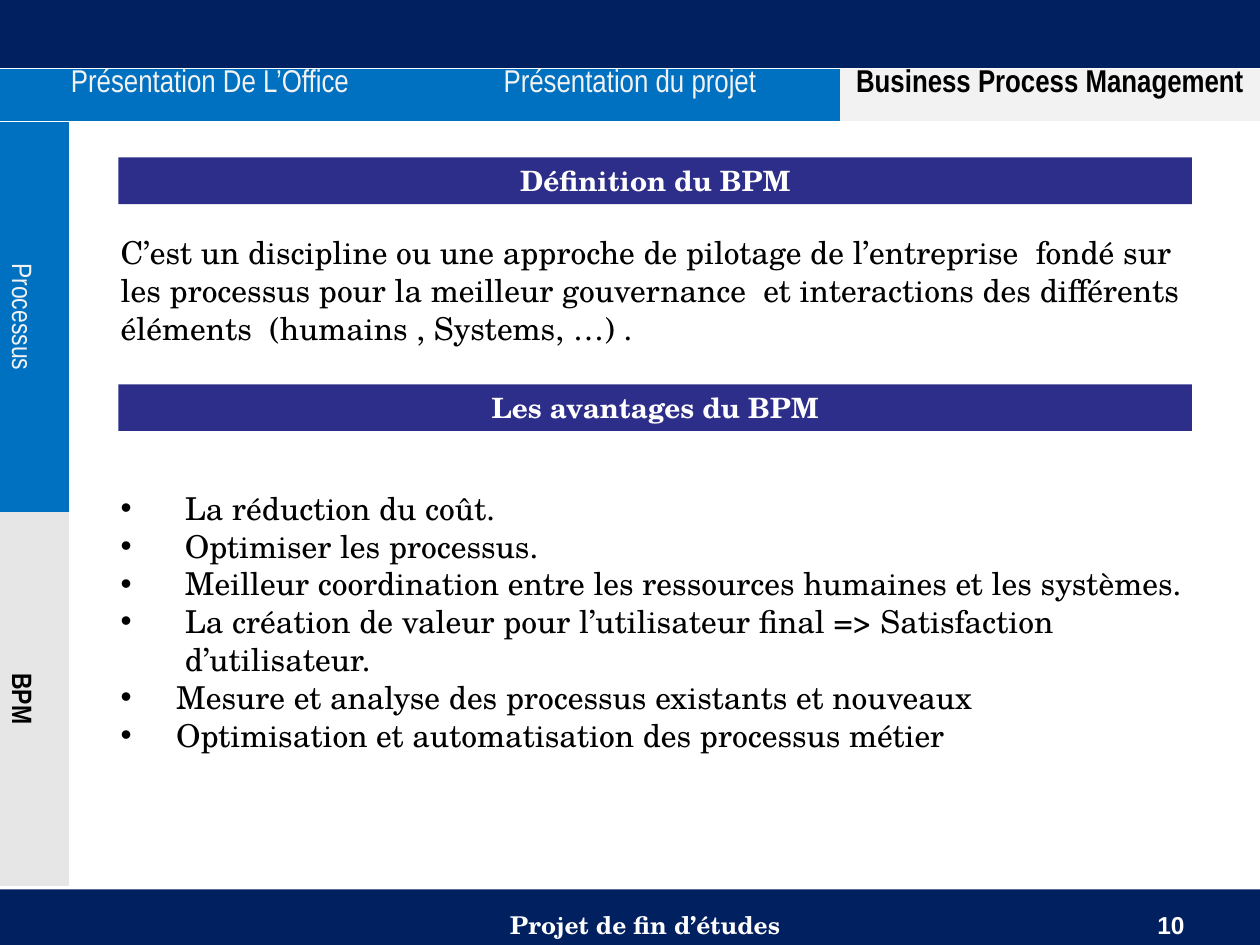
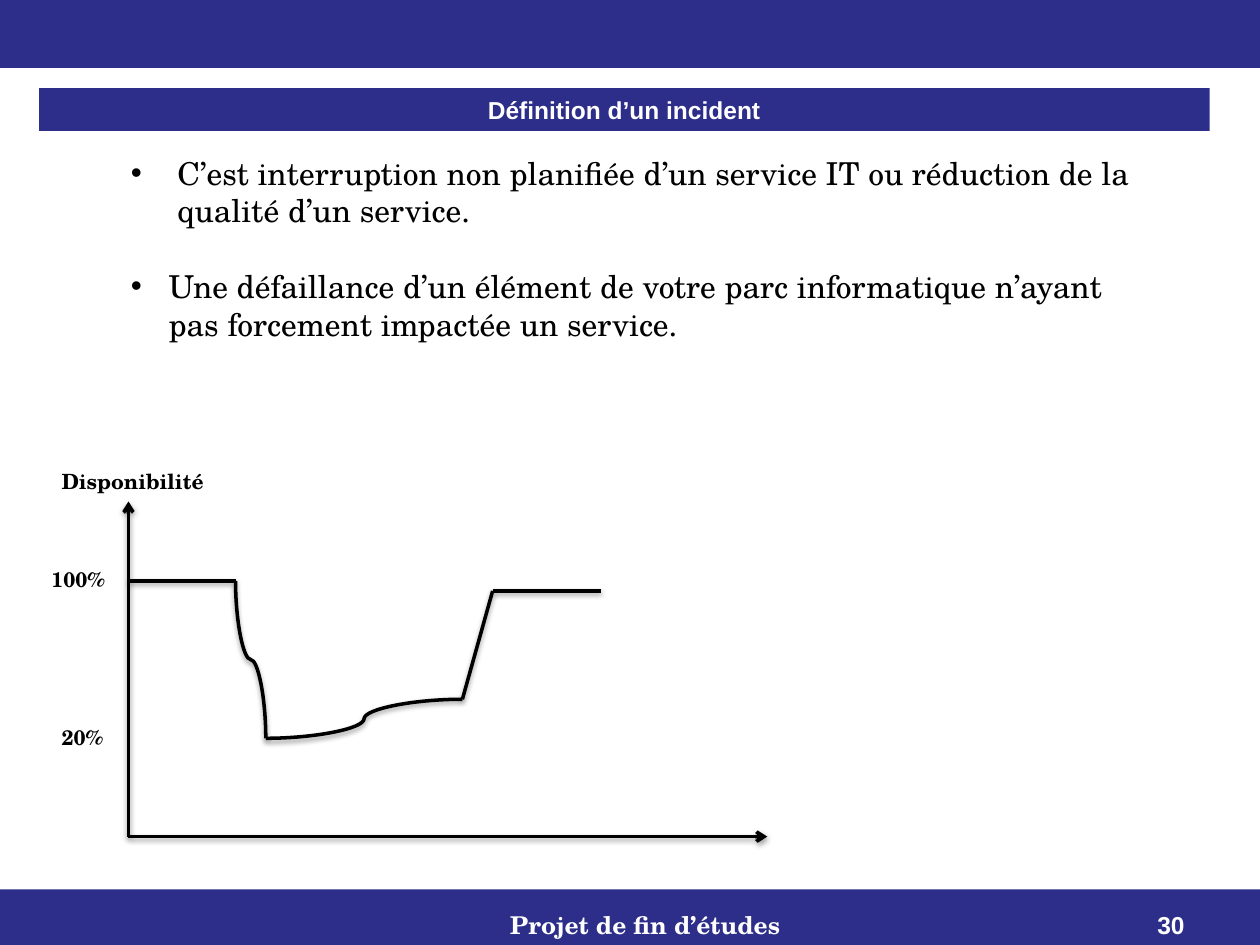
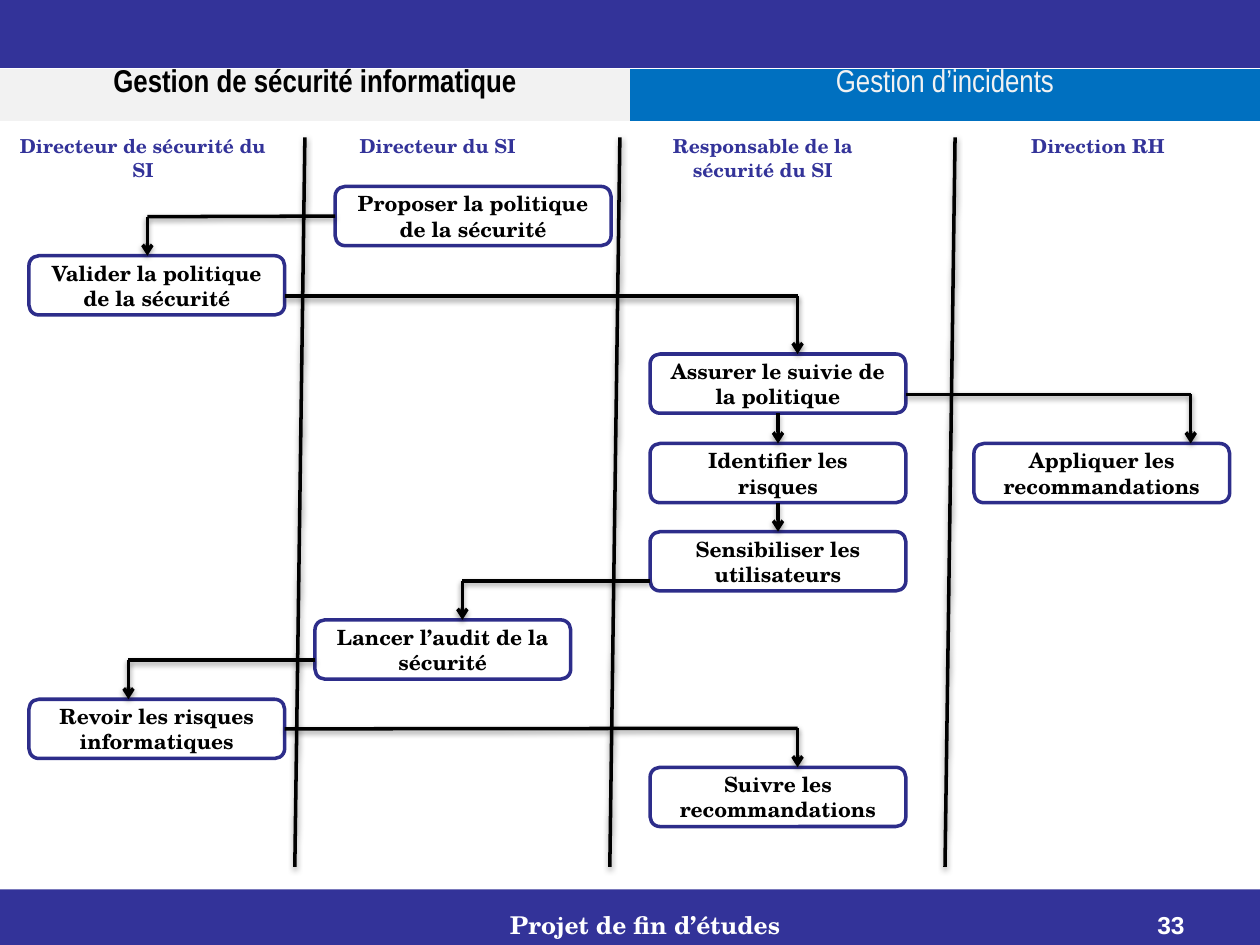
from lxml import etree
from pptx import Presentation
from pptx.dml.color import RGBColor
from pptx.enum.shapes import MSO_CONNECTOR, MSO_SHAPE
from pptx.enum.text import MSO_ANCHOR, PP_ALIGN
from pptx.oxml import parse_xml
from pptx.oxml.ns import nsdecls, qn
from pptx.util import Inches, Pt

NAVY, INDIGO, VIOLET, BLUE = "002060", "2D2D8A", "333399", "0070C0"
BLACK, WHITE, PALE, GREY = "000000", "FFFFFF", "F2F2F2", "E6E6E6"
SERIF, SANS, NARROW = "TeX Gyre Schola", "Arial", "Arial Narrow"
LEFT, CENTER, RIGHT = PP_ALIGN.LEFT, PP_ALIGN.CENTER, PP_ALIGN.RIGHT
NO_STYLE = "{2D5ABB26-0587-4C30-8999-92F81FD0307C}"
FOOTER = "Projet de fin d’études"

BPM_TABS = ["Présentation De L’Office", "Présentation du projet", "Business Process Management"]
BPM_SECTIONS = [("Processus", 3.09), ("BPM", 2.97)]
BPM_BANDS = [("Définition du BPM", 1.25), ("Les avantages du BPM", 3.05)]
BPM_DEFINITION = (
    "C’est un discipline ou une approche de pilotage de l’entreprise  fondé sur "
    "les processus pour la meilleur gouvernance  et interactions des différents "
    "éléments  (humains , Systems, …) ."
)
# text, hanging indent
BPM_BENEFITS = [
    ("La réduction du coût.", 0.51),
    ("Optimiser les processus.", 0.51),
    ("Meilleur coordination entre les ressources humaines et les systèmes.", 0.51),
    ("La création de valeur pour l’utilisateur final => Satisfaction d’utilisateur.", 0.51),
    ("Mesure et analyse des processus existants et nouveaux", 0.44),
    ("Optimisation et automatisation des processus métier", 0.44),
]

INCIDENT_TITLE = "Définition d’un incident"
INCIDENT_POINTS = [
    ("C’est interruption non planifiée d’un service IT ou réduction de la "
     "qualité d’un service.", 0.37),
    ("Une défaillance d’un élément de votre parc informatique n’ayant "
     "pas forcement impactée un service.", 0.3),
]
AXIS_ORIGIN, AXIS_TOP, AXIS_RIGHT = (1.02, 6.64), (1.02, 3.98), (6.09, 6.64)
AXIS_LABELS = [
    ("Disponibilité", (0.39, 3.67, 1.64, 0.3)),
    ("100%", (0.31, 4.45, 0.7, 0.31)),
    ("20%", (0.39, 5.7, 0.7, 0.31)),
]
AVAILABILITY = [(1.02, 4.61), (1.87, 4.61), (2.11, 5.86), (3.67, 5.55), (3.91, 4.69), (4.77, 4.69)]

SECURITY_TABS = ["Gestion de sécurité informatique", "Gestion d’incidents"]
LANES = [
    ("Directeur de sécurité du SI", 0),
    ("Directeur du SI", 2.34),
    ("Responsable de la sécurité du SI", 4.92),
    ("Direction RH", 7.58),
]
DIVIDERS = [2.42, 4.92, 7.58]
STEP_W, STEP_H = 2.03, 0.47
# name: text, left, top, width
STEPS = {
    "proposer": ("Proposer la politique de la sécurité", 2.66, 1.48, 2.19),
    "valider": ("Valider la politique de la sécurité", 0.23, 2.03, STEP_W),
    "assurer": ("Assurer le suivie de la politique", 5.16, 2.81, STEP_W),
    "identifier": ("Identifier les risques", 5.16, 3.52, STEP_W),
    "sensibiliser": ("Sensibiliser les utilisateurs", 5.16, 4.22, STEP_W),
    "lancer": ("Lancer l’audit de la sécurité", 2.5, 4.92, STEP_W),
    "revoir": ("Revoir les risques informatiques", 0.23, 5.55, STEP_W),
    "appliquer": ("Appliquer les recommandations", 7.73, 3.52, STEP_W),
    "suivre": ("Suivre les recommandations", 5.16, 6.09, STEP_W),
}
# source, target, x of the drop, y of the exit
ROUTES = [
    ("proposer", "valider", 1.17, 1.72),
    ("valider", "assurer", 6.33, 2.35),
    ("assurer", "appliquer", 9.45, 3.13),
    ("sensibiliser", "lancer", 3.67, 4.61),
    ("lancer", "revoir", 1.02, 5.24),
    ("revoir", "suivre", 6.33, 5.78),
]
STRAIGHT_DOWN = [("assurer", "identifier"), ("identifier", "sensibiliser")]


def rgb(color):
    return RGBColor.from_string(color)


def inches(values):
    return [Inches(v) for v in values]


def write(p, text, size, color=BLACK, font=SERIF, bold=False, align=LEFT):
    p.text = text
    p.alignment = align
    for r in p.runs:
        r.font.size, r.font.name, r.font.bold = Pt(size), font, bold
        r.font.color.rgb = rgb(color)


def add_box(s, at, fill, line=None, kind=MSO_SHAPE.RECTANGLE):
    sp = s.shapes.add_shape(kind, *inches(at))
    sp.shadow.inherit = False
    sp.fill.solid()
    sp.fill.fore_color.rgb = rgb(fill)
    if line:
        sp.line.color.rgb = rgb(line)
        sp.line.width = Pt(2)
    else:
        sp.line.fill.background()
    return sp


def add_text(s, at, text, size, **style):
    tf = s.shapes.add_textbox(*inches(at)).text_frame
    tf.word_wrap = True
    write(tf.paragraphs[0], text, size, **style)


def add_band(s, at, text, size, font):
    sp = add_box(s, at, INDIGO)
    write(sp.text_frame.paragraphs[0], text, size, WHITE, font, True, CENTER)


def add_bullets(s, at, items, gap=0):
    tf = s.shapes.add_textbox(*inches(at)).text_frame
    tf.word_wrap = True
    for i, (text, hang) in enumerate(items):
        p = tf.add_paragraph() if i else tf.paragraphs[0]
        write(p, text, 18)
        if i:
            p.space_before = Pt(gap)
        pPr = p._p.get_or_add_pPr()
        pPr.set("marL", str(Inches(hang)))
        pPr.set("indent", str(-Inches(hang)))
        etree.SubElement(pPr, qn("a:buFont"), typeface=SANS)
        etree.SubElement(pPr, qn("a:buChar"), char="•")


def add_line(s, start, end, arrow=False, kind=MSO_CONNECTOR.STRAIGHT):
    c = s.shapes.add_connector(kind, *inches(start + end))
    c.line.color.rgb = rgb(BLACK)
    c.line.width = Pt(2)
    if arrow:
        etree.SubElement(c.line._get_or_add_ln(), qn("a:tailEnd"), type="arrow")
    c._element.spPr.append(parse_xml(
        f'<a:effectLst {nsdecls("a")}><a:outerShdw blurRad="{Pt(3.1)}" dist="{Pt(1.6)}" '
        'dir="5400000" rotWithShape="0"><a:srgbClr val="000000"><a:alpha val="38000"/>'
        '</a:srgbClr></a:outerShdw></a:effectLst>'))
    return c


def add_upright_curve(s, start, end):
    """Curve that leaves and arrives vertically: a level curve turned by 270 degrees."""
    (x1, y1), (x2, y2) = start, end
    cx, cy = (x1 + x2) / 2, (y1 + y2) / 2
    half_w, half_h = (y2 - y1) / 2, (x2 - x1) / 2
    c = add_line(s, (cx + half_w, cy - half_h), (cx - half_w, cy + half_h),
                 kind=MSO_CONNECTOR.CURVE)
    c._element.spPr.find(qn("a:xfrm")).set("rot", str(270 * 60000))


def add_table(s, at, rows, cols):
    frame = s.shapes.add_table(rows, cols, *inches(at))
    table = frame.table
    table._tbl.tblPr.find(qn("a:tableStyleId")).text = NO_STYLE
    table.first_row = table.horz_banding = False
    return table


def fill_cell(cell, text, size, active, active_fill):
    cell.fill.solid()
    cell.fill.fore_color.rgb = rgb(active_fill if active else BLUE)
    write(cell.text_frame.paragraphs[0], text, size, BLACK if active else PALE,
          NARROW, active, CENTER)


def add_tabs(s, names, active):
    table = add_table(s, (0, 0.55, 10, 0.41), 1, len(names))
    for i, name in enumerate(names):
        cell = table.cell(0, i)
        cell.margin_top = 0
        fill_cell(cell, name, 18, i == active, PALE)


def add_side_tabs(s, sections, active):
    total = sum(height for _, height in sections)
    table = add_table(s, (0, 0.97, 0.55, total), len(sections), 1)
    for i, (name, height) in enumerate(sections):
        table.rows[i].height = Inches(height)
        cell = table.cell(i, 0)
        fill_cell(cell, name, 16, i == active, GREY)
        cell.vertical_anchor = MSO_ANCHOR.TOP if i == active else MSO_ANCHOR.BOTTOM
        cell._tc.get_or_add_tcPr().set("vert", "vert")


def add_slide(prs, number, color):
    s = prs.slides.add_slide(prs.slide_layouts[6])
    add_box(s, (0, 0, 10, 0.54), color)
    add_box(s, (0, 7.06, 10, 0.44), color)
    for at, text, font, align in [((3.74, 7.17, 2.76, 0.34), FOOTER, SERIF, CENTER),
                                  ((7.17, 7.17, 2.33, 0.33), str(number), SANS, RIGHT)]:
        add_text(s, at, text, 14, color=WHITE, font=font, bold=True, align=align)
    return s


def build_bpm(prs):
    s = add_slide(prs, 10, NAVY)
    add_tabs(s, BPM_TABS, 2)
    add_side_tabs(s, BPM_SECTIONS, 1)
    for text, top in BPM_BANDS:
        add_band(s, (0.94, top, 8.52, 0.37), text, 16, SERIF)
    add_text(s, (0.86, 1.8, 8.75, 1.01), BPM_DEFINITION, 18)
    add_bullets(s, (0.86, 3.83, 8.75, 2.22), BPM_BENEFITS)


def build_incident(prs):
    s = add_slide(prs, 30, INDIGO)
    add_band(s, (0.31, 0.7, 9.29, 0.34), INCIDENT_TITLE, 14, SANS)
    add_bullets(s, (0.94, 1.17, 8.36, 1.62), INCIDENT_POINTS, gap=21.5)
    for end in (AXIS_TOP, AXIS_RIGHT):
        add_line(s, AXIS_ORIGIN, end, arrow=True)
    for text, at in AXIS_LABELS:
        add_text(s, at, text, 12, bold=True)
    full, drop, bottom, partial, restored, end = AVAILABILITY
    add_line(s, full, drop)
    add_upright_curve(s, drop, bottom)
    add_line(s, bottom, partial, kind=MSO_CONNECTOR.CURVE)
    add_line(s, partial, restored)
    add_line(s, restored, end)


def build_security(prs):
    s = add_slide(prs, 33, VIOLET)
    add_tabs(s, SECURITY_TABS, 0)
    for x in DIVIDERS:
        add_line(s, (x, 1.09), (x - 0.08, 6.88))
    for text, left in LANES:
        add_text(s, (left, 1.02, 2.27, 0.47), text, 11, color=VIOLET, bold=True, align=CENTER)

    steps = {}
    for name, (text, left, top, width) in STEPS.items():
        sp = add_box(s, (left, top, width, STEP_H), WHITE, INDIGO, MSO_SHAPE.ROUNDED_RECTANGLE)
        write(sp.text_frame.paragraphs[0], text, 12, bold=True, align=CENTER)
        steps[name] = sp

    for source, target, x, y in ROUTES:
        _, left, top, width = STEPS[source]
        goes_left = x < left
        c = add_line(s, (left if goes_left else left + width, y), (x, y))
        if abs(y - top - STEP_H / 2) < 0.02:
            c.begin_connect(steps[source], 1 if goes_left else 3)
        add_line(s, (x, y), (x, STEPS[target][2]), arrow=True)

    for source, target in STRAIGHT_DOWN:
        _, left, top, width = STEPS[source]
        x = left + width / 2
        c = add_line(s, (x, top + STEP_H), (x, STEPS[target][2]), arrow=True)
        c.begin_connect(steps[source], 2)
        c.end_connect(steps[target], 0)


def main():
    prs = Presentation()
    prs.slide_width, prs.slide_height = Inches(10), Inches(7.5)
    build_bpm(prs)
    build_incident(prs)
    build_security(prs)
    prs.save("out.pptx")


if __name__ == "__main__":
    main()
